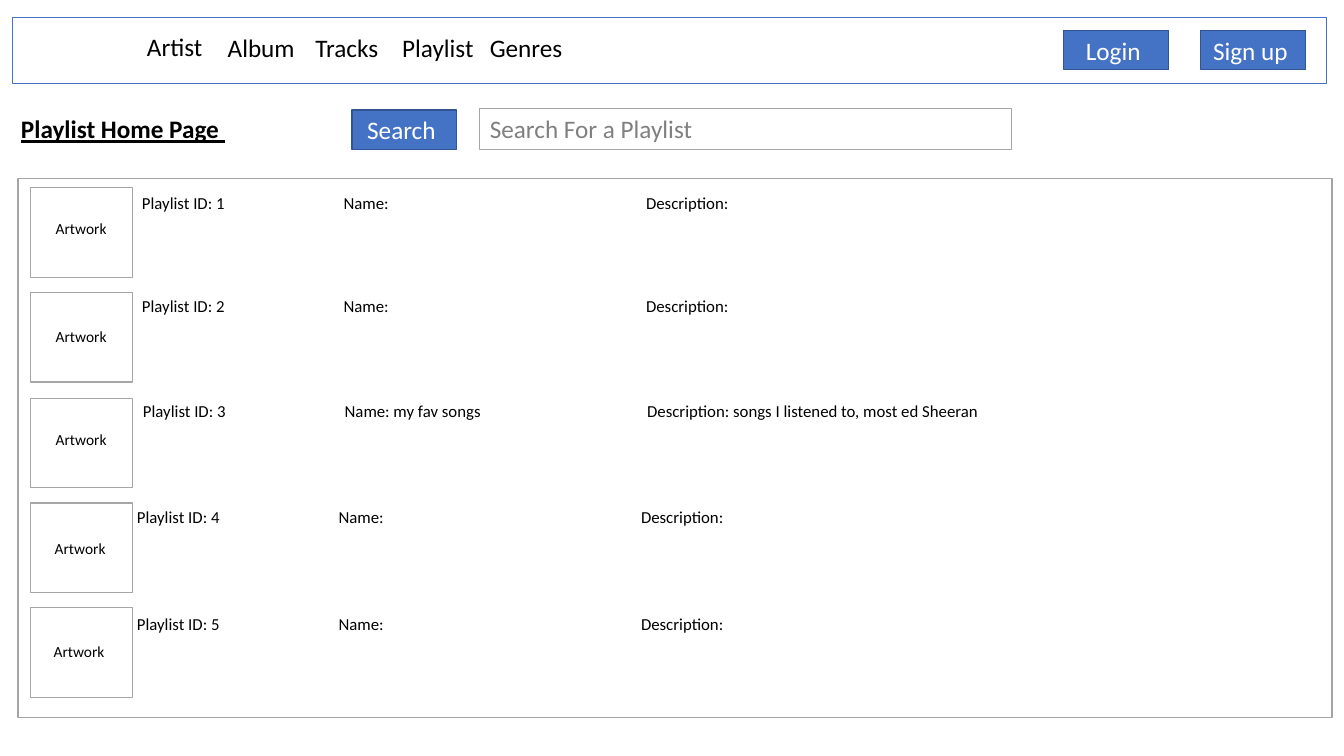
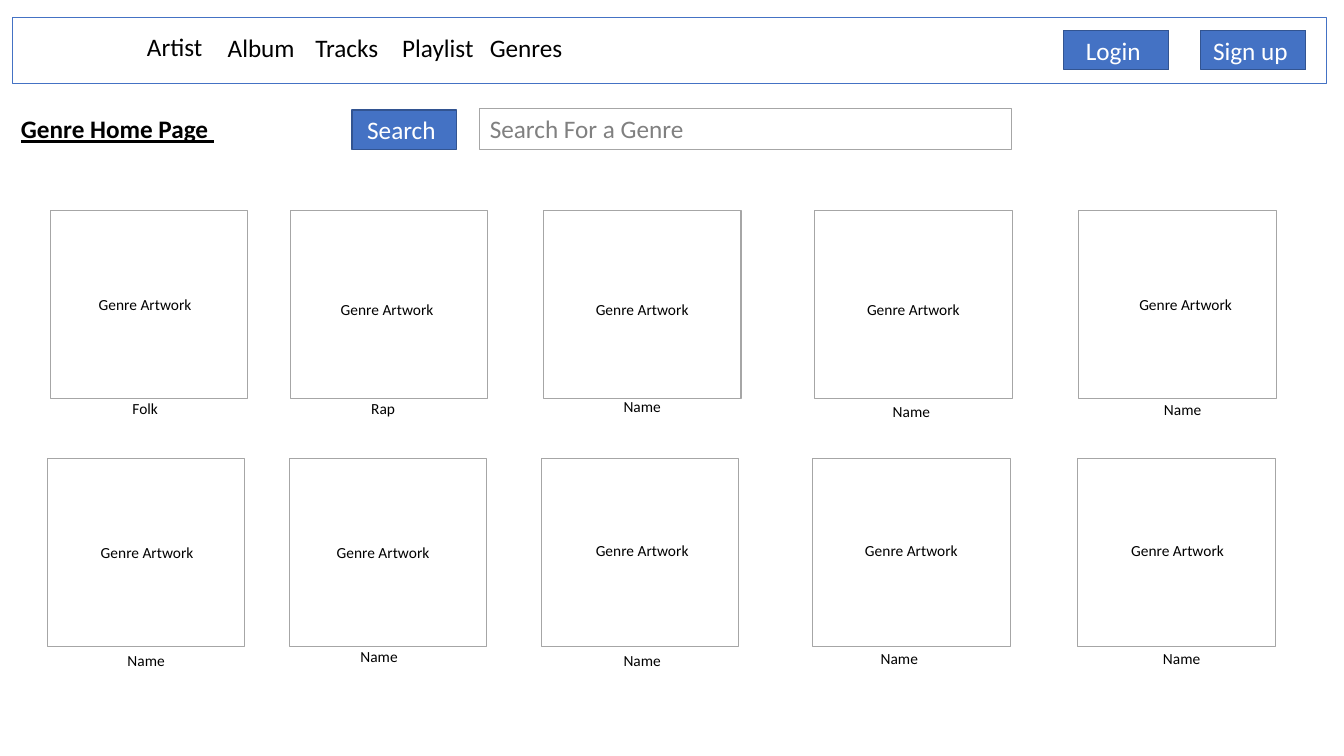
from dataclasses import dataclass
from lxml import etree
from pptx import Presentation
from pptx.dml.color import RGBColor
from pptx.enum.shapes import MSO_SHAPE
from pptx.enum.text import MSO_ANCHOR, MSO_AUTO_SIZE, PP_ALIGN
from pptx.oxml.ns import qn
from pptx.util import Inches, Pt

RECT, PROCESS = MSO_SHAPE.RECTANGLE, MSO_SHAPE.FLOWCHART_PROCESS
TOP, MIDDLE = MSO_ANCHOR.TOP, MSO_ANCHOR.MIDDLE
LEFT, CENTER = PP_ALIGN.LEFT, PP_ALIGN.CENTER
GROW = MSO_AUTO_SIZE.SHAPE_TO_FIT_TEXT


@dataclass(frozen=True)
class Theme:
    """Colours, font and type sizes of the deck."""
    font: str = "Calibri"
    blue: str = "4472C4"
    navy: str = "325491"
    white: str = "FFFFFF"
    black: str = "000000"
    hint: str = "808080"
    edge: str = "A6A6A6"
    frame: str = "A5A5A5"
    head: int = 18
    body: int = 12
    small: int = 11


THEME = Theme()

MENU = [("Artist ", 1.36, 0.26, 0.77), ("Album ", 2.16, 0.27, 0.98),
        ("Tracks ", 3.03, 0.27, 0.98), ("Playlist ", 3.89, 0.27, 0.98),
        ("Genres ", 4.76, 0.27, 0.98)]

PLAYLISTS = [
    ("Name: \t\t\tDescription:", 1.86, (1.31, 1.86), (0.3, 2.12)),
    ("Name: \t\t\tDescription:", 2.9, (1.31, 2.88), (0.3, 3.2)),
    ("Name: my fav songs \t\tDescription: songs I listened to, most ed Sheeran",
     3.95, (1.32, 3.93), (0.3, 4.22)),
    ("Name: \t\t\tDescription:", 4.99, (1.26, 4.98), (0.29, 5.3)),
    ("Name: \t\t\tDescription:", 6.03, (1.26, 6.04), (0.28, 6.32)),
]

GENRES = [
    ("Folk", (0.5, 2.09), (0.17, 0.79), (0.17, 1.82)),
    ("Rap", (2.88, 2.09), (0.19, 0.84), (0.15, 1.82)),
    ("Name", (5.39, 2.09), (0.21, 0.84), (0.21, 1.8)),
    ("Name", (8.08, 2.09), (0.21, 0.84), (0.19, 1.85)),
    ("Name", (10.7, 2.09), (0.29, 0.79), (0.26, 1.83)),
    ("Name", (0.47, 4.55), (0.22, 0.79), (0.21, 1.86)),
    ("Name", (2.87, 4.55), (0.16, 0.79), (0.12, 1.82)),
    ("Name", (5.37, 4.55), (0.23, 0.77), (0.23, 1.86)),
    ("Name", (8.06, 4.55), (0.21, 0.77), (0.09, 1.84)),
    ("Name", (10.69, 4.55), (0.22, 0.77), (0.26, 1.84)),
]


def rgb(code):
    """Turn a hex code into a colour."""
    return RGBColor.from_string(code)


def tabs(para, count):
    """Set tab stops one inch apart."""
    stops = etree.SubElement(para._p.get_or_add_pPr(), qn("a:tabLst"))
    for num in range(1, count + 1):
        etree.SubElement(stops, qn("a:tab"), pos=str(Inches(num)), algn="l")


def write(shape, text, size, color, align=LEFT, anchor=TOP, strong=False):
    """Put one run of styled text in a shape."""
    frame = shape.text_frame
    frame.word_wrap = True
    frame.vertical_anchor = anchor
    para = frame.paragraphs[0]
    para.alignment = align
    run = para.add_run()
    run.text = text
    font = run.font
    font.name, font.size = THEME.font, Pt(size)
    font.color.rgb = rgb(color)
    if strong:
        font.bold = font.underline = True


def box(parts, at, line, width=0.75, fill=None, kind=RECT):
    """Draw an outlined box."""
    shape = parts.add_shape(kind, *map(Inches, at))
    shape.shadow.inherit = False
    if fill:
        shape.fill.solid()
        shape.fill.fore_color.rgb = rgb(fill)
    else:
        shape.fill.background()
    shape.line.color.rgb = rgb(line)
    shape.line.width = Pt(width)
    return shape


def label(parts, at, text, size, **style):
    """Place a black text box."""
    shape = parts.add_textbox(*map(Inches, at))
    write(shape, text, size, THEME.black, **style)
    shape.text_frame.auto_size = GROW
    return shape


def button(parts, left, top, text):
    """Draw a blue button."""
    shape = box(parts, (left, top, 1.04, 0.39), THEME.navy, 1, THEME.blue, PROCESS)
    write(shape, text, THEME.head, THEME.white, CENTER, MIDDLE)


def header(slide, at):
    """Draw the menu bar with its two buttons."""
    left, top, width, height = at
    parts = slide.shapes.add_group_shape().shapes
    box(parts, at, THEME.blue)
    right = left + width
    for text, gap in (("Login ", 2.61), ("Sign up ", 1.25)):
        button(parts, right - gap, top + 0.13, text)
    for text, x, y, wide in MENU:
        label(parts, (x, y, wide, 0.4), text, THEME.head)


def search(slide, at, topic):
    """Draw the page title, search button and search field."""
    left, top, width, height = at
    parts = slide.shapes
    label(parts, (left, top, 2.3, height), f"{topic} Home Page ", THEME.head,
          strong=True)
    button(parts, left + 3.38, top + 0.01, "Search ")
    start = left + 4.65
    field = box(parts, (start, top, left + width - start, height), THEME.edge)
    write(field, f"Search For a {topic} ", THEME.head, THEME.hint)
    field.text_frame.auto_size = GROW


def listing(slide, at):
    """Draw the framed list of playlists."""
    parts = slide.shapes
    box(parts, at, THEME.frame, 1, THEME.white, PROCESS)
    for num, (text, top, row, art) in enumerate(PLAYLISTS, 1):
        box(parts, (at[0] + 0.12, top, 1.01, 0.89), THEME.edge)
        line = label(parts, (*row, 9.5, 0.3), f"Playlist ID: {num}\t\t{text}",
                     THEME.body)
        tabs(line.text_frame.paragraphs[0], 5)
        label(parts, (*art, 1.01, 0.29), "Artwork", THEME.small, align=CENTER)


def card(slide, at, name, art, foot):
    """Draw one genre tile with its name below."""
    left, top = at[:2]
    parts = slide.shapes
    box(parts, at, THEME.edge)
    for text, (dx, dy) in (("Genre Artwork", art), (name, foot)):
        label(parts, (left + dx, top + dy, 1.54, 0.29), text, THEME.small,
              align=CENTER)


def page(deck, topic):
    """Add a slide with the shared header and search row."""
    slide = deck.slides.add_slide(deck.slide_layouts[6])
    header(slide, (0.12, 0.17, 13.04, 0.66))
    search(slide, (0.11, 1.08, 9.92, 0.4), topic)
    return slide


def main():
    """Build and save the deck."""
    deck = Presentation()
    deck.slide_width, deck.slide_height = Inches(13.33), Inches(7.5)
    listing(page(deck, "Playlist"), (0.18, 1.77, 13.03, 5.35))
    slide = page(deck, "Genre")
    for name, spot, art, foot in GENRES:
        card(slide, (*spot, 1.96, 1.86), name, art, foot)
    deck.save("out.pptx")


main()
